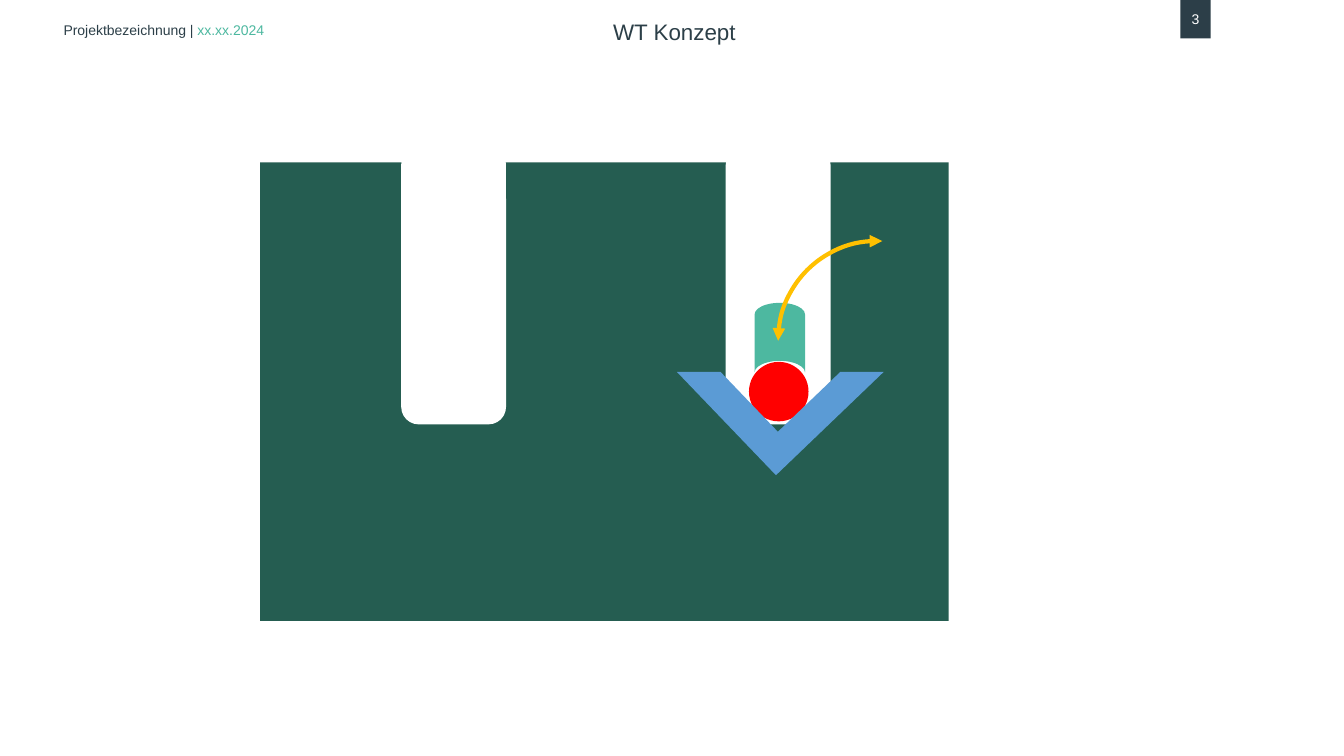
from lxml.etree import SubElement
from pptx import Presentation
from pptx.dml.color import RGBColor
from pptx.enum.shapes import MSO_SHAPE as Shape
from pptx.enum.text import MSO_ANCHOR as Anchor, PP_ALIGN as Align
from pptx.oxml.ns import qn
from pptx.util import Inches, Pt

INK = RGBColor(0x2C, 0x3F, 0x48)
BADGE = RGBColor(0x2C, 0x3E, 0x48)
MINT = RGBColor(0x4D, 0xB8, 0xA0)
GREEN = RGBColor(0x25, 0x5D, 0x51)
WHITE = RGBColor(0xFF, 0xFF, 0xFF)
RED = RGBColor(0xFF, 0x00, 0x00)
AMBER = RGBColor(0xFF, 0xC0, 0x00)
BLUE = RGBColor(0x5B, 0x9B, 0xD5)

prs = Presentation()
prs.slide_width, prs.slide_height = Inches(13.33), Inches(7.5)
COL, ROW = prs.slide_width / 100, prs.slide_height / 100
slide = prs.slides.add_slide(prs.slide_layouts[6])


def add_part(kind, col, row, cols, rows, color=None, turn=0):
    part = slide.shapes.add_shape(
        kind, round(col * COL), round(row * ROW), round(cols * COL), round(rows * ROW))
    part.shadow.inherit = False
    part.line.fill.background()
    if color is None:
        part.fill.background()
    else:
        part.fill.solid()
        part.fill.fore_color.rgb = color
    part.rotation = turn
    return part


def write(part, pieces, size, align, anchor, inset):
    frame = part.text_frame
    frame.word_wrap = True
    frame.vertical_anchor = anchor
    frame.margin_left = frame.margin_right = Inches(inset)
    frame.margin_top = frame.margin_bottom = Inches(inset)
    line = frame.paragraphs[0]
    line.alignment = align
    line.font.name, line.font.size = "Arial", Pt(size)
    for words, color in pieces:
        run = line.add_run()
        run.text = words
        run.font.color.rgb = color


project = add_part(Shape.RECTANGLE, 4.5, 2.4, 26.33, 3.07)
write(project, [("Projektbezeichnung | ", INK), ("xx.xx.2024", MINT)],
      10, Align.LEFT, Anchor.MIDDLE, 0.03)

page_number = add_part(Shape.RECTANGLE, 87.83, 0, 2.25, 5.07, BADGE)
write(page_number, [("3", WHITE)], 10, Align.CENTER, Anchor.MIDDLE, 0.02)

heading = add_part(Shape.RECTANGLE, 21.83, 1.73, 56.7, 4.13)
write(heading, [("WT Konzept", INK)], 16, Align.CENTER, Anchor.TOP, 0.05)

add_part(Shape.RECTANGLE, 19.35, 21.47, 51.23, 60.67, GREEN)
for slot_col in (29.85, 54):
    add_part(Shape.ROUNDED_RECTANGLE, slot_col, 19.47, 7.8, 36.67, WHITE)
add_part(Shape.OVAL, 55.73, 47.87, 4.43, 7.87, RED)
add_part(Shape.FLOWCHART_STORED_DATA, 55.43, 41.33, 5.18, 6.67, MINT, 90)

swing = add_part(Shape.ARC, 57.9, 31.87, 14.78, 26.27)
swing.adjustments[0], swing.adjustments[1] = 107.79, 163.67
swing.line.color.rgb = AMBER
swing.line.width = Pt(3)
stroke = swing.line.color and swing.element.spPr.find(qn("a:ln"))
for end in ("a:headEnd", "a:tailEnd"):
    SubElement(stroke, qn(end), type="triangle")

cradle = add_part(Shape.HALF_FRAME, 52.73, 39.33, 10.65, 19.73, BLUE, 226.2)
cradle.adjustments[0], cradle.adjustments[1] = 0.22, 0.21

prs.save("out.pptx")
